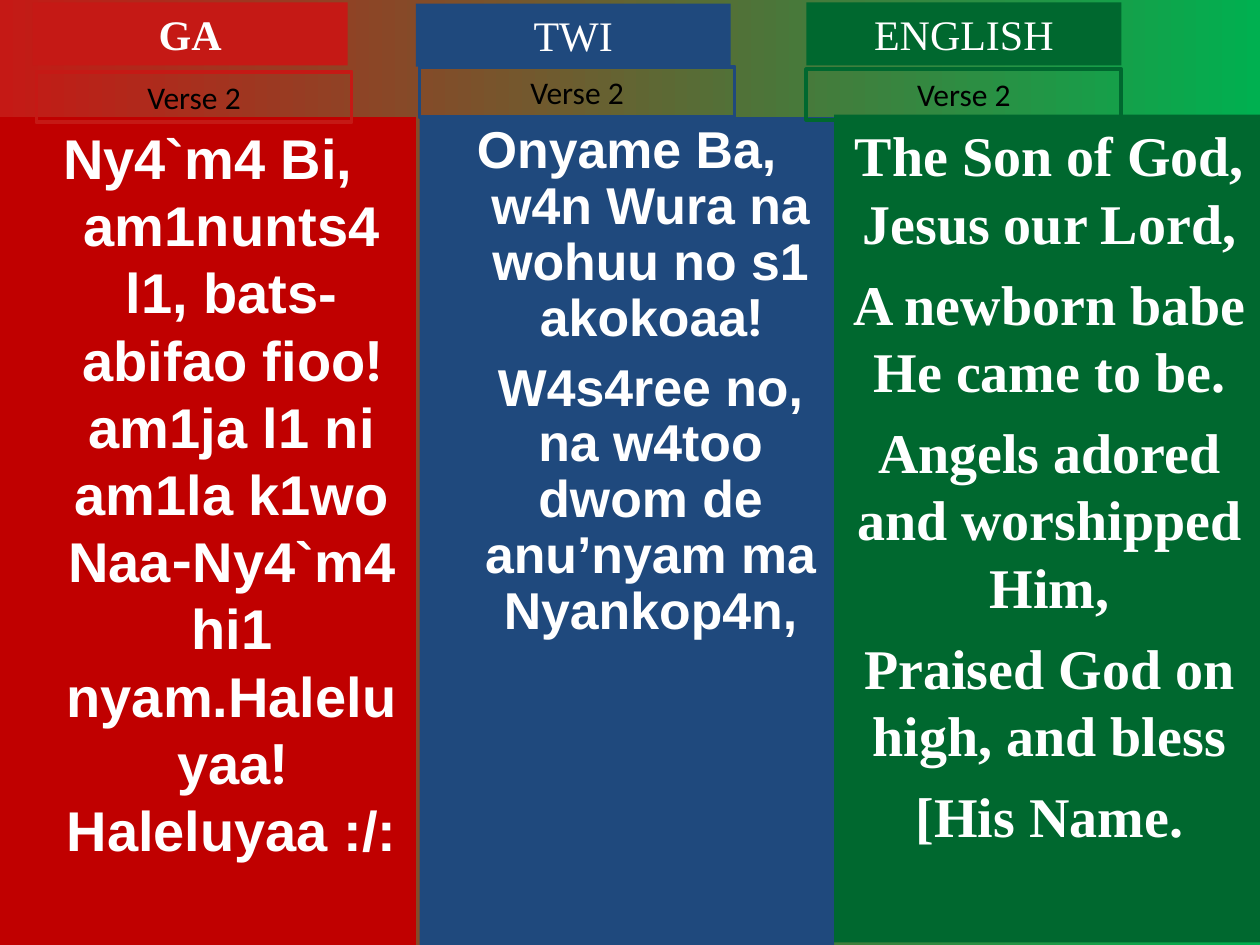
from itertools import cycle

from pptx import Presentation
from pptx.dml.color import RGBColor
from pptx.enum.text import MSO_ANCHOR, MSO_AUTO_SIZE, PP_ALIGN
from pptx.oxml.xmlchemy import OxmlElement
from pptx.util import Inches, Pt

CENTER = PP_ALIGN.CENTER
TOP = MSO_ANCHOR.TOP
FIT_SHAPE = MSO_AUTO_SIZE.SHAPE_TO_FIT_TEXT
NO_FIT = MSO_AUTO_SIZE.NONE

RED, BLUE, GREEN, WHITE = "C51915", "1F497D", "00682F", "FFFFFF"
SERIF = "Times New Roman"
LABEL_WIDTH = 2.5
PANEL_HEIGHT = 6.57
HANG = 0.38

GA_VERSE = [[
    "Ny4`m4 Bi, am1nunts4 l1, bats- abifao fioo", "! ",
    "am1ja l1 ni am1la k1wo Naa", "-",
    "Ny4`m4 hi1 nyam.Haleluyaa", "!", " Haleluyaa :/:",
]]
TWI_VERSE = [
    ["Onyame Ba, w4n Wura na wohuu no s1 akokoaa", "!"],
    ["W4s4ree no, na w4too dwom de anu’nyam ma Nyankop4n,"],
]
ENGLISH_VERSE = [
    ["The Son of God, Jesus our Lord,"],
    ["A newborn babe He came to be."],
    ["Angels adored and worshipped Him,"],
    ["Praised God on high, and bless"],
    ["[His Name."],
]


def color(value):
    return RGBColor.from_string(value)


def place(box, left, top, width, height):
    box.left, box.top = Inches(left), Inches(top)
    box.width, box.height = Inches(width), Inches(height)


def format_span(span, font, size, tint, bold):
    span.font.name = font
    span.font.size = Pt(size)
    span.font.bold = bold
    span.font.color.rgb = color(tint)


def set_background(page):
    fill = page.background.fill
    fill.gradient()
    fill.gradient_angle = 0
    for stop, tint in zip(fill.gradient_stops, (RED, "00B050")):
        stop.color.rgb = color(tint)


def add_label(page, text, at, font, size, tint, bold=False, fill=None, line=None):
    box = page.shapes.add_textbox(*(Inches(length) for length in at))
    frame = box.text_frame
    frame.word_wrap = True
    frame.auto_size = FIT_SHAPE
    frame.text = text
    para = frame.paragraphs[0]
    para.alignment = CENTER
    format_span(para.runs[0], font, size, tint, bold)
    if fill:
        box.fill.solid()
        box.fill.fore_color.rgb = color(fill)
    if line:
        box.line.color.rgb = color(line)
        box.line.width = Pt(2.25)


def hang_first_line(para, first):
    properties = para._p.get_or_add_pPr()
    properties.set("marL", str(Inches(HANG)))
    properties.set("indent", str(Inches(-HANG if first else 0)))
    properties.append(OxmlElement("a:buNone"))


def fill_panel(box, verse, at, fill, fonts, size, spacing=None, hanging=False):
    place(box, *at)
    box.fill.solid()
    box.fill.fore_color.rgb = color(fill)
    frame = box.text_frame
    frame.word_wrap = True
    frame.auto_size = NO_FIT
    frame.vertical_anchor = TOP
    for index, pieces in enumerate(verse):
        para = frame.add_paragraph() if index else frame.paragraphs[0]
        para.alignment = CENTER
        para.space_before = Pt(8 if index else 0)
        if spacing:
            para.line_spacing = spacing
        if hanging:
            hang_first_line(para, index == 0)
        for piece, font in zip(pieces, cycle(fonts)):
            span = para.add_run()
            span.text = piece
            format_span(span, font, size, WHITE, True)


def main():
    deck = Presentation()
    deck.slide_width, deck.slide_height = Inches(10), Inches(7.5)
    page = deck.slides.add_slide(deck.slide_layouts[3])
    set_background(page)
    title, ga_panel, twi_panel = list(page.placeholders)[:3]
    for box in list(page.placeholders):
        if box not in (ga_panel, twi_panel):
            box.element.getparent().remove(box.element)

    mixed = ("Arial", "Roboto")
    fill_panel(ga_panel, GA_VERSE, (0, 0.93, 3.3, PANEL_HEIGHT),
               "C00000", mixed, 32, hanging=True)
    fill_panel(twi_panel, TWI_VERSE, (3.33, 0.93, 3.29, PANEL_HEIGHT),
               BLUE, mixed, 29.6, spacing=0.9, hanging=True)
    english_panel = page.shapes.add_textbox(0, 0, 0, 0)
    fill_panel(english_panel, ENGLISH_VERSE, (6.62, 0.91, 3.42, PANEL_HEIGHT),
               GREEN, (SERIF,), 32)

    columns = [
        ("GA", RED, True, (0.26, 0.02), (0.29, 0.57)),
        ("TWI", BLUE, False, (3.3, 0.03), (3.33, 0.53)),
        ("ENGLISH", GREEN, False, (6.4, 0.02), (6.4, 0.55)),
    ]
    for language, tint, bold, head, verse in columns:
        add_label(page, language, (*head, LABEL_WIDTH, 0.5),
                  SERIF, 24, WHITE, bold, fill=tint)
        add_label(page, "Verse 2", (*verse, LABEL_WIDTH, 0.4),
                  "Calibri", 18, "000000", line=tint)

    deck.save("out.pptx")


if __name__ == "__main__":
    main()
